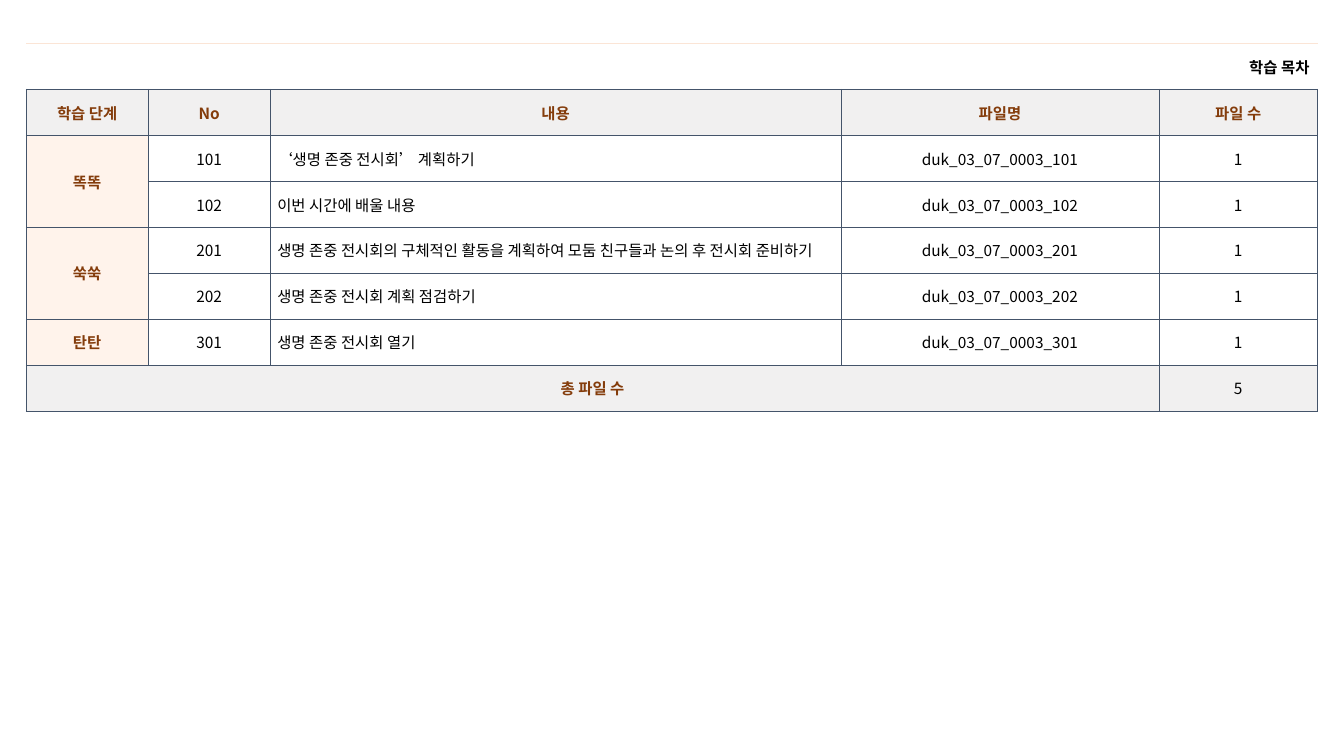
from dataclasses import dataclass

from lxml.etree import SubElement
from pptx import Presentation
from pptx.dml.color import RGBColor
from pptx.enum.text import MSO_ANCHOR, PP_ALIGN
from pptx.oxml.ns import qn
from pptx.util import Inches, Pt

FONT = "Noto Sans CJK KR"
HUES = {
    "black": "000000", "brown": "843C0B", "navy": "44546A",
    "gray": "F1F0F0", "cream": "FFF3EB", "white": "FFFFFF", "peach": "FBE5D6",
}
WIDE, HIGH = 13.33, 7.5
LEFT, TOP, SPAN, ROW = 0.0195 * WIDE, 0.0573 * HIGH, 0.961 * WIDE, 0.0608 * HIGH
COLS = (0.0945, 0.0945, 0.442, 0.246, 0.123)
HEADS = ("학습 단계", "No", "내용", "파일명", "파일 수")
STEPS = {
    "똑똑": (("101", "‘생명 존중 전시회’ 계획하기"), ("102", "이번 시간에 배울 내용")),
    "쑥쑥": (
        ("201", "생명 존중 전시회의 구체적인 활동을 계획하여 모둠 친구들과 논의 후 전시회 준비하기"),
        ("202", "생명 존중 전시회 계획 점검하기"),
    ),
    "탄탄": (("301", "생명 존중 전시회 열기"),),
}


@dataclass(frozen=True)
class Look:
    fill: str | None = "white"
    ink: str = "black"
    bold: bool = False
    align: PP_ALIGN = PP_ALIGN.CENTER
    pad: float = 0.07


@dataclass(frozen=True)
class Box:
    row: int
    col: int
    text: str
    look: Look
    down: int = 1
    over: int = 1


TITLE = Look(None, bold=True, align=PP_ALIGN.RIGHT, pad=0.08)
HEAD = Look("gray", "brown", True)
STEP = Look("cream", "brown", True)
BODY = Look()
NOTE = Look(align=PP_ALIGN.LEFT)
SUM = Look("gray")


def plan() -> list[Box]:
    boxes = [Box(0, 0, "학습 목차", TITLE, over=len(COLS))]
    boxes += [Box(1, col, head, HEAD) for col, head in enumerate(HEADS)]
    row = 2
    for step, items in STEPS.items():
        boxes.append(Box(row, 0, step, STEP, down=len(items)))
        for code, note in items:
            texts = (code, note, f"duk_03_07_0003_{code}", "1")
            looks = (BODY, NOTE, BODY, BODY)
            boxes += [Box(row, col, text, look)
                      for col, (text, look) in enumerate(zip(texts, looks), 1)]
            row += 1
    count = sum(len(items) for items in STEPS.values())
    boxes.append(Box(row, 0, "총 파일 수", HEAD, over=len(COLS) - 1))
    boxes.append(Box(row, len(COLS) - 1, str(count), SUM))
    return boxes


def edge(cell, side: str, hue: str | None, size: float) -> None:
    line = SubElement(cell._tc.get_or_add_tcPr(), qn(f"a:ln{side}"), w=str(Pt(size)))
    if hue is None:
        SubElement(line, qn("a:noFill"))
    else:
        fill = SubElement(line, qn("a:solidFill"))
        SubElement(fill, qn("a:srgbClr"), val=HUES[hue])


def write(cell, text: str, *, ink: str, bold: bool, align: PP_ALIGN, size: float = 11) -> None:
    para = cell.text_frame.paragraphs[0]
    para.alignment = align
    run = para.add_run()
    run.text = text
    font = run.font
    font.name, font.size, font.bold = FONT, Pt(size), bold
    font.color.rgb = RGBColor.from_string(HUES[ink])
    SubElement(font._element, qn("a:ea"), typeface=FONT)


def draw(table, box: Box) -> None:
    look = box.look
    for row in range(box.row, box.row + box.down):
        for col in range(box.col, box.col + box.over):
            cell = table.cell(row, col)
            for side in "LRTB":
                if row or side == "B":
                    edge(cell, side, "navy", 0.5)
                else:
                    edge(cell, side, "peach" if side == "T" else None, 0.25)
            if look.fill:
                cell.fill.solid()
                cell.fill.fore_color.rgb = RGBColor.from_string(HUES[look.fill])
            else:
                cell.fill.background()
    cell = table.cell(box.row, box.col)
    if box.down * box.over > 1:
        cell.merge(table.cell(box.row + box.down - 1, box.col + box.over - 1))
    cell.vertical_anchor = MSO_ANCHOR.MIDDLE
    cell.margin_left = cell.margin_right = Inches(look.pad)
    cell.margin_top = cell.margin_bottom = Inches(0.05)
    write(cell, box.text, ink=look.ink, bold=look.bold, align=look.align)


def main() -> None:
    deck = Presentation()
    deck.slide_width, deck.slide_height = Inches(WIDE), Inches(HIGH)
    slide = deck.slides.add_slide(deck.slide_layouts[6])
    boxes = plan()
    rows = boxes[-1].row + 1
    frame = slide.shapes.add_table(
        rows, len(COLS), Inches(LEFT), Inches(TOP), Inches(SPAN), Inches(ROW * rows))
    table = frame.table
    table.first_row = table.horz_banding = False
    for col, share in zip(table.columns, COLS):
        col.width = Inches(SPAN * share)
    for row in table.rows:
        row.height = Inches(ROW)
    for box in boxes:
        draw(table, box)
    deck.save("out.pptx")


if __name__ == "__main__":
    main()
